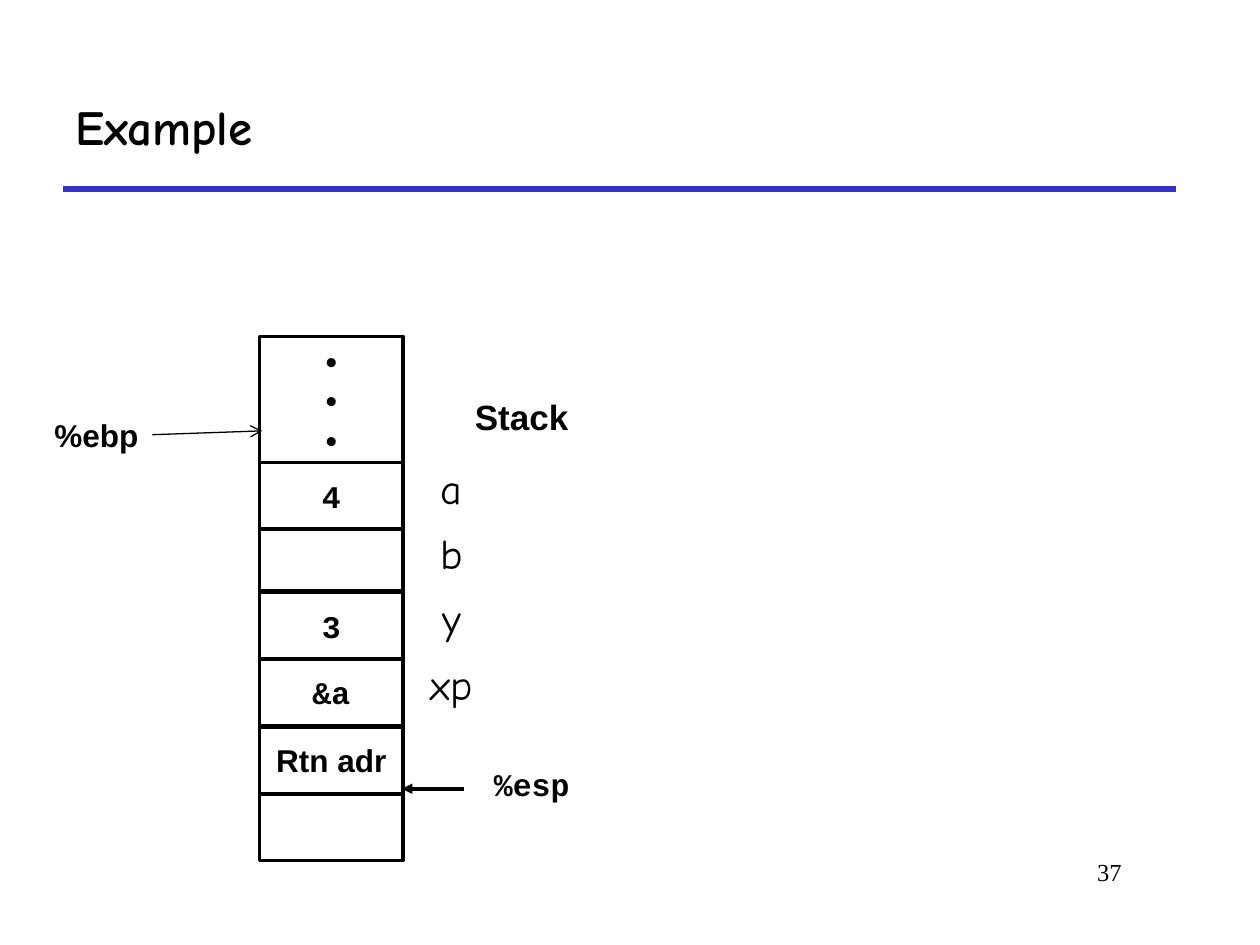
from dataclasses import dataclass

from lxml import etree
from pptx import Presentation
from pptx import util as u
from pptx.dml.color import RGBColor
from pptx.enum import shapes, text
from pptx.oxml import ns

COLOURS = {"ink": "000000", "paper": "FFFFFF", "rule": "3333CC"}
SANS, MONO, HAND, SERIF = "Arial", "Courier New", "Comic Neue", "Times New Roman"
LEFT, CENTER, RIGHT = text.PP_ALIGN.LEFT, text.PP_ALIGN.CENTER, text.PP_ALIGN.RIGHT
MIDDLE = text.MSO_ANCHOR.MIDDLE
CELL_LEFT, CELL_WIDTH, CELL_HEIGHT = 2.06, 1.14, 0.53


@dataclass(frozen=True)
class StackCell:
    """One rectangle of the stack."""
    top: float
    words: str = ""
    font: str = MONO
    height: float = CELL_HEIGHT
    spacing: float = 1.0


@dataclass(frozen=True)
class Label:
    """A free-standing text with its frame and format."""
    words: str
    left: float
    top: float
    width: float
    height: float
    font: str
    size: int = 18
    bold: bool = True
    align: text.PP_ALIGN = CENTER
    anchor: text.MSO_ANCHOR = text.MSO_ANCHOR.TOP


@dataclass(frozen=True)
class Line:
    """A straight line, with an optional arrowhead at its end."""
    start: tuple[float, float]
    end: tuple[float, float]
    weight: float
    colour: str = "ink"
    head: str = ""


STACK = [
    StackCell(4.7, "3"),
    StackCell(5.23, "&a"),
    StackCell(5.77, "Rtn adr", SANS),
    StackCell(6.3),
    StackCell(2.67, "•\n•\n•", SANS, 1, 1.05),
    StackCell(4.16),
    StackCell(3.67, "4"),
]
LABELS = [
    Label("37", 7.58, 6.75, 1.42, 0.5, SERIF, 14, False, RIGHT),
    Label("Example", 0.5, 0.5, 8.83, 1, HAND, 28, True, LEFT, MIDDLE),
    Label("%esp", 3.82, 6.02, 0.8, 0.4, MONO),
    Label("Stack", 3.67, 3.09, 0.94, 0.44, SANS, 20),
    Label("%ebp", 0.33, 3.25, 0.87, 0.4, SANS),
]
LINES = [
    Line((0.5, 1.5), (9.33, 1.5), 3, "rule"),
    Line((3.68, 6.26), (3.19, 6.26), 2, head="triangle"),
    Line((1.21, 3.45), (2.08, 3.42), 0.75, head="arrow"),
]
VARIABLES = ["a", "b", "y", "xp"]


def colour(name: str) -> RGBColor:
    """Return a named colour."""
    return RGBColor.from_string(COLOURS[name])


def write(frame, words: str, *, font: str, size: int = 18, bold: bool = True,
          align=CENTER, spacing: float = 1.0) -> None:
    """Fill a text frame with one paragraph per line of words."""
    for index, row in enumerate(words.split("\n")):
        para = frame.add_paragraph() if index else frame.paragraphs[0]
        para.alignment, para.line_spacing = align, spacing
        span = para.add_run()
        span.text = row
        span.font.name, span.font.size, span.font.bold = font, u.Pt(size), bold
        span.font.color.rgb = colour("ink")


def draw_cell(page, cell: StackCell) -> None:
    """Draw one outlined cell of the stack."""
    box = page.shapes.add_shape(
        shapes.MSO_SHAPE.RECTANGLE, u.Inches(CELL_LEFT), u.Inches(cell.top),
        u.Inches(CELL_WIDTH), u.Inches(cell.height))
    box.shadow.inherit = False
    box.fill.solid()
    box.fill.fore_color.rgb = colour("paper")
    box.line.color.rgb = colour("ink")
    box.line.width = u.Pt(2)
    box.text_frame.word_wrap = False
    box.text_frame.vertical_anchor = MIDDLE
    if cell.words:
        write(box.text_frame, cell.words, font=cell.font, spacing=cell.spacing)


def draw_label(page, label: Label) -> None:
    """Draw one text box."""
    box = page.shapes.add_textbox(u.Inches(label.left), u.Inches(label.top),
                                  u.Inches(label.width), u.Inches(label.height))
    box.text_frame.word_wrap = label.words not in ("%esp", "Stack")
    box.text_frame.vertical_anchor = label.anchor
    write(box.text_frame, label.words, font=label.font, size=label.size,
          bold=label.bold, align=label.align)


def draw_line(page, line: Line) -> None:
    """Draw one straight line without a shadow."""
    connector = page.shapes.add_connector(
        shapes.MSO_CONNECTOR.STRAIGHT, *map(u.Inches, line.start + line.end))
    connector.line.color.rgb = colour(line.colour)
    connector.line.width = u.Pt(line.weight)
    if line.head:
        etree.SubElement(connector.line._get_or_add_ln(), ns.qn("a:tailEnd"), type=line.head)
    etree.SubElement(connector._element.spPr, ns.qn("a:effectLst"))


def draw_variables(page, names: list[str]) -> None:
    """Draw the one-column table of variable names beside the stack."""
    row_height = 0.52
    table = page.shapes.add_table(
        len(names), 1, u.Inches(3.25), u.Inches(3.65), u.Inches(0.67),
        u.Inches(row_height * len(names))).table
    table.first_row = table.horz_banding = False
    for index, name in enumerate(names):
        cell = table.cell(index, 0)
        cell.fill.solid()
        cell.fill.fore_color.rgb = colour("paper")
        write(cell.text_frame, name, font=HAND, size=24, bold=False)


def main() -> None:
    """Build the stack slide and save it."""
    deck = Presentation()
    deck.slide_width, deck.slide_height = u.Inches(10), u.Inches(7.5)
    page = deck.slides.add_slide(deck.slide_layouts[6])
    for cell in STACK:
        draw_cell(page, cell)
    draw_variables(page, VARIABLES)
    for label in LABELS:
        draw_label(page, label)
    for line in LINES:
        draw_line(page, line)
    deck.save("out.pptx")


if __name__ == "__main__":
    main()
